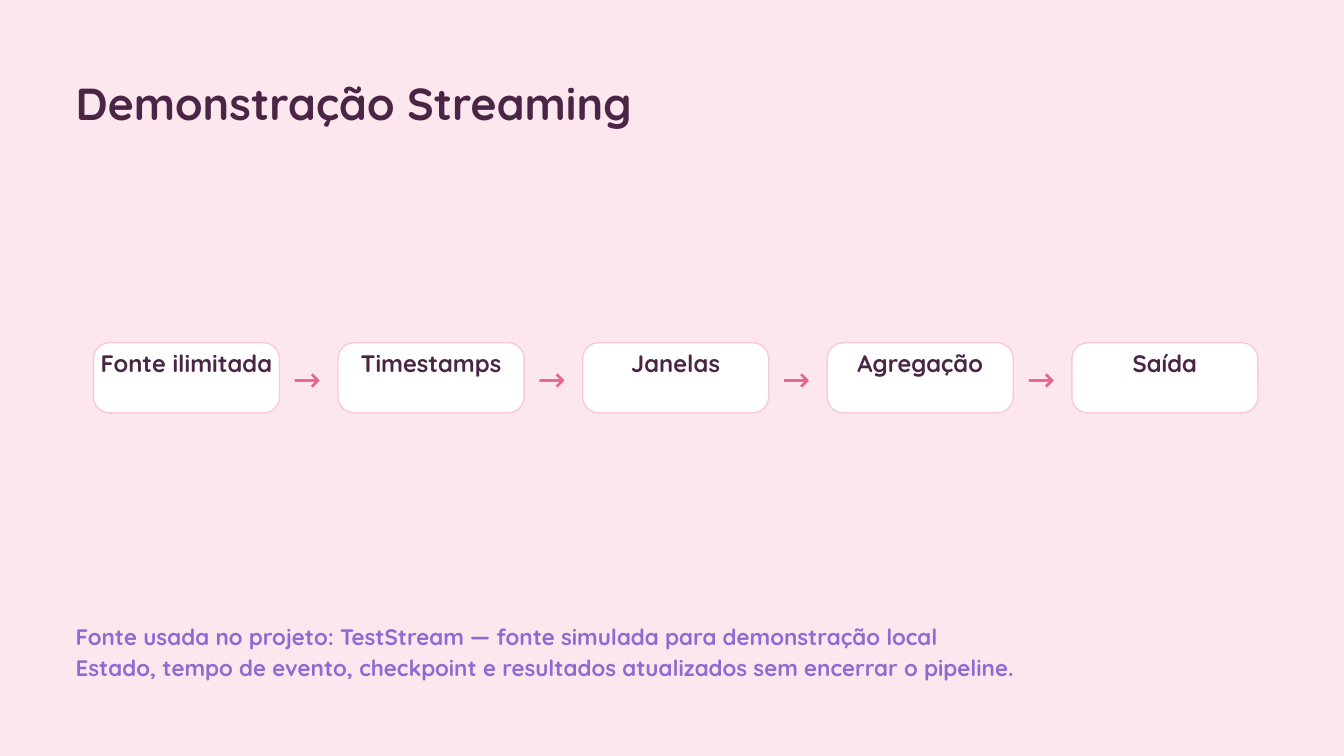
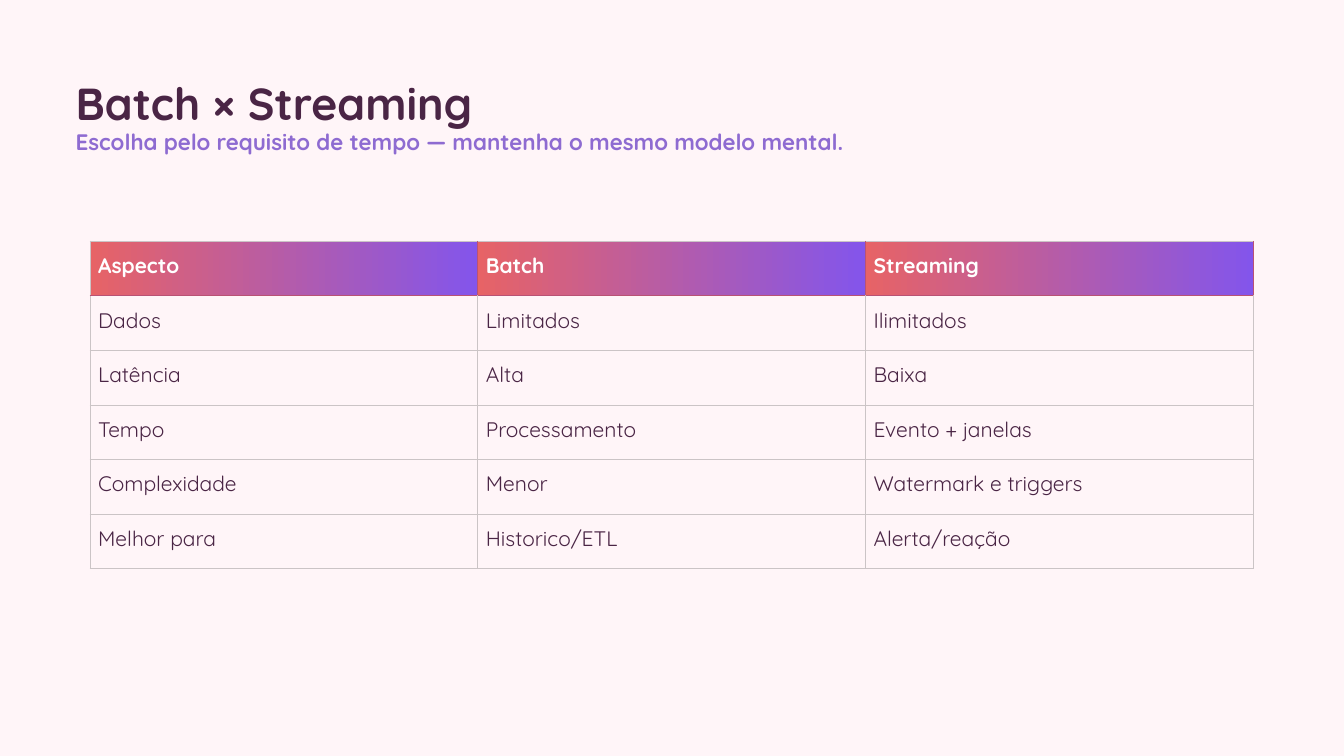
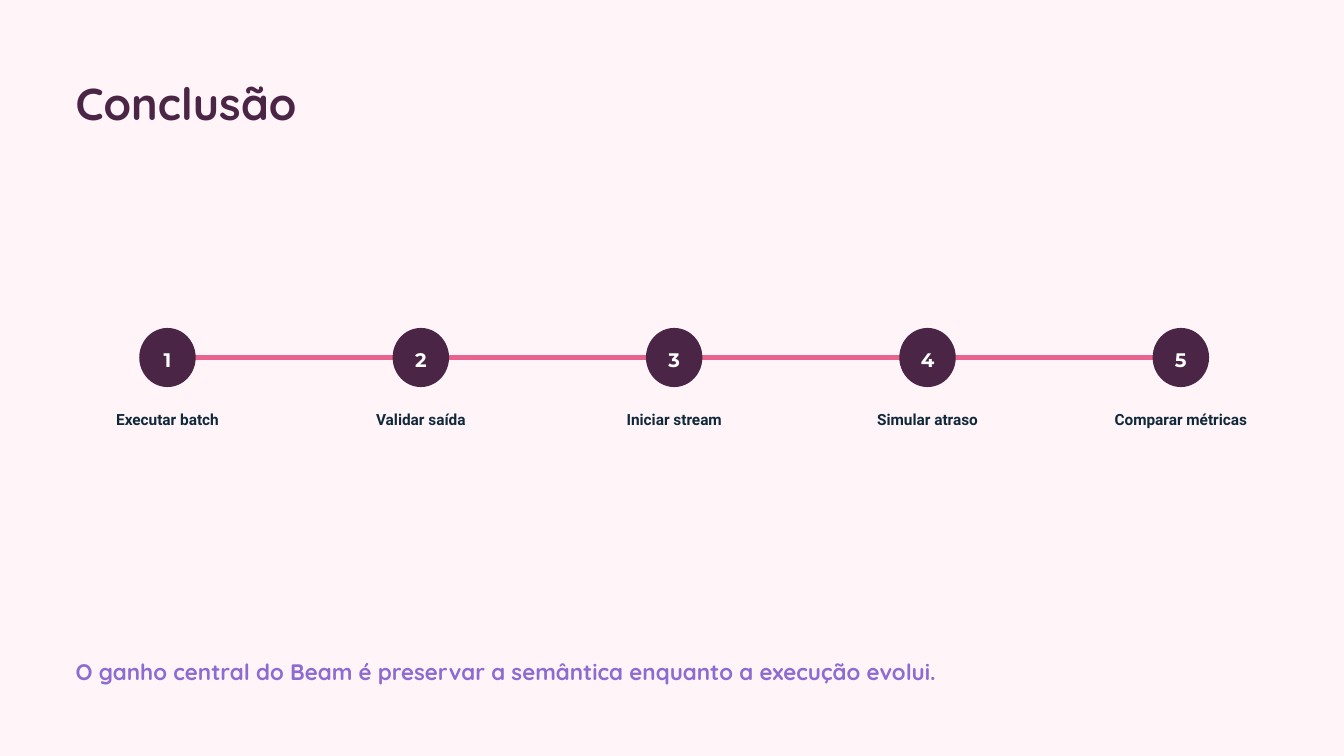
from dataclasses import dataclass

from lxml import etree
from pptx import Presentation
from pptx.dml.color import RGBColor
from pptx.enum.shapes import MSO_CONNECTOR, MSO_SHAPE
from pptx.enum.text import MSO_ANCHOR, PP_ALIGN
from pptx.oxml.ns import qn
from pptx.util import Inches, Pt

LEFT, CENTER = PP_ALIGN.LEFT, PP_ALIGN.CENTER
TOP, MIDDLE = MSO_ANCHOR.TOP, MSO_ANCHOR.MIDDLE
ROUNDED, OVAL = MSO_SHAPE.ROUNDED_RECTANGLE, MSO_SHAPE.OVAL
STRAIGHT = MSO_CONNECTOR.STRAIGHT
COLS, ROWS = 80, 45
MARGIN = 4.5


@dataclass(frozen=True)
class TextStyle:
    size: float
    color: str
    leading: float
    bold: bool = True
    font: str = "Quicksand"
    align: PP_ALIGN = LEFT


class Theme:
    blush = "FDE7EF"
    pale = "FFF5F8"
    plum = "4A2545"
    violet = "8E6BD1"
    pink = "E8638F"
    white = "FFFFFF"
    card_line = "F7C9DA"
    grid_line = "CBC4C6"
    header_line = "B95274"
    header_fill = ("E76366", "8355EB")
    title = TextStyle(48, plum, 55.2)
    note = TextStyle(24, violet, 32.4)
    card = TextStyle(25.5, plum, 32, align=CENTER)
    arrow = TextStyle(36, pink, 50.4, bold=False)
    header = TextStyle(22.5, white, 31.5)
    body = TextStyle(22.5, plum, 31.5, bold=False)
    number = TextStyle(21, white, 29.4, font="Montserrat", align=CENTER)
    label = TextStyle(16.5, "10283A", 22.3, font="Roboto", align=CENTER)


def rgb(color):
    return RGBColor.from_string(color)


class Deck:
    def __init__(self, theme):
        self.theme = theme
        self.prs = Presentation()
        self.prs.slide_width, self.prs.slide_height = Inches(20), Inches(11.25)
        self.slide = None

    def x(self, cols):
        return round(self.prs.slide_width * cols / COLS)

    def y(self, rows):
        return round(self.prs.slide_height * rows / ROWS)

    def box(self, left, top, width, height):
        return self.x(left), self.y(top), self.x(width), self.y(height)

    def new_slide(self, background, title):
        self.slide = self.prs.slides.add_slide(self.prs.slide_layouts[6])
        fill = self.slide.background.fill
        fill.solid()
        fill.fore_color.rgb = rgb(background)
        self.text([title], self.theme.title, MARGIN, 4.64, 71, 3.04)

    def add_lines(self, tf, lines, style):
        tf.word_wrap = True
        for i, line in enumerate(lines):
            p = tf.paragraphs[0] if i == 0 else tf.add_paragraph()
            p.alignment = style.align
            p.line_spacing = Pt(style.leading)
            r = p.add_run()
            r.text = line
            r.font.name = style.font
            r.font.size = Pt(style.size)
            r.font.bold = style.bold
            r.font.color.rgb = rgb(style.color)

    def frame(self, sp, lines, style, anchor=TOP):
        tf = sp.text_frame
        tf.margin_left = tf.margin_top = tf.margin_right = tf.margin_bottom = 0
        tf.vertical_anchor = anchor
        self.add_lines(tf, lines, style)

    def text(self, lines, style, *place):
        self.frame(self.slide.shapes.add_textbox(*self.box(*place)), lines, style)

    def note(self, lines, top, width):
        self.text(lines, self.theme.note, MARGIN, top, width, 1.8 * len(lines))

    def shape(self, kind, fill, line, *place):
        sp = self.slide.shapes.add_shape(kind, *self.box(*place))
        sp.shadow.inherit = False
        sp.fill.solid()
        sp.fill.fore_color.rgb = rgb(fill)
        if line:
            sp.line.color.rgb = rgb(line)
            sp.line.width = Pt(1.5)
        else:
            sp.line.fill.background()
        return sp

    def card(self, name, *place):
        sp = self.shape(ROUNDED, self.theme.white, self.theme.card_line, *place)
        sp.adjustments[0] = 0.23
        self.frame(sp, [name], self.theme.card)

    def disc(self, number, *place):
        sp = self.shape(OVAL, self.theme.plum, None, *place)
        self.frame(sp, [str(number)], self.theme.number, MIDDLE)

    def rule(self, start, end, row):
        line = self.slide.shapes.add_connector(
            STRAIGHT, self.x(start), self.y(row), self.x(end), self.y(row))
        line.line.color.rgb = rgb(self.theme.pink)
        line.line.width = Pt(4.5)
        etree.SubElement(line._element.spPr, qn("a:effectLst"))

    def borders(self, cell, **colors):
        for side, color in colors.items():
            ln = etree.SubElement(cell._tc.get_or_add_tcPr(), qn(f"a:ln{side}"), w=str(Pt(1)))
            fill = etree.SubElement(ln, qn("a:solidFill"))
            etree.SubElement(fill, qn("a:srgbClr"), val=color)

    def cell(self, cell, value, row, col):
        grid, accent = self.theme.grid_line, self.theme.header_line
        head = row == 0
        self.borders(
            cell,
            L=accent if head and col else grid,
            R=accent if head else grid,
            T=accent if row == 1 else grid,
            B=accent if head else grid)
        if head:
            cell.fill.gradient()
            cell.fill.gradient_angle = 0
            for stop, color in zip(cell.fill.gradient_stops, self.theme.header_fill):
                stop.color.rgb = rgb(color)
        else:
            cell.fill.background()
        cell.margin_left = cell.margin_right = Inches(0.12)
        cell.margin_top = cell.margin_bottom = Inches(0.12)
        self.add_lines(cell.text_frame, [value], self.theme.header if head else self.theme.body)

    def table(self, data, left, top, col_width, row_height):
        rows, cols = len(data), len(data[0])
        place = self.box(left, top, col_width * cols, row_height * rows)
        table = self.slide.shapes.add_table(rows, cols, *place).table
        table.horz_banding = False
        for column in table.columns:
            column.width = self.x(col_width)
        for i, values in enumerate(data):
            table.rows[i].height = self.y(row_height)
            for j, value in enumerate(values):
                self.cell(table.cell(i, j), value, i, j)


def streaming_demo(deck):
    deck.new_slide(Theme.blush, "Demonstração Streaming")
    stages = ["Fonte ilimitada", "Timestamps", "Janelas", "Agregação", "Saída"]
    first, pitch = 5.56, 14.56
    for i, stage in enumerate(stages):
        left = first + i * pitch
        deck.card(stage, left, 20.4, 11.08, 4.18)
        if i < len(stages) - 1:
            deck.text(["→"], Theme.arrow, left + 11.88, 20.88, 2.2, 2.72)
    deck.note([
        "Fonte usada no projeto: TestStream — fonte simulada para demonstração local",
        "Estado, tempo de evento, checkpoint e resultados atualizados sem encerrar o pipeline.",
    ], 36.92, 71.4)


def comparison(deck):
    deck.new_slide(Theme.pale, "Batch × Streaming")
    deck.table([
        ("Aspecto", "Batch", "Streaming"),
        ("Dados", "Limitados", "Ilimitados"),
        ("Latência", "Alta", "Baixa"),
        ("Tempo", "Processamento", "Evento + janelas"),
        ("Complexidade", "Menor", "Watermark e triggers"),
        ("Melhor para", "Historico/ETL", "Alerta/reação"),
    ], 5.36, 14.36, 23.08, 3.25)
    deck.note(["Escolha pelo requisito de tempo — mantenha o mesmo modelo mental."], 7.4, 56.24)


def conclusion(deck):
    deck.new_slide(Theme.pale, "Conclusão")
    steps = ["Executar batch", "Validar saída", "Iniciar stream",
             "Simular atraso", "Comparar métricas"]
    first, pitch, axis = 9.97, 15.08, 21.28
    width, height, label_width = 3.36, 3.52, 10.44
    deck.rule(first, first + pitch * (len(steps) - 1), axis)
    for i, step in enumerate(steps):
        center = first + i * pitch
        deck.disc(i + 1, center - width / 2, axis - height / 2, width, height)
        deck.text([step], Theme.label, center - label_width / 2, 24.28, label_width, 1.2)
    deck.note(["O ganho central do Beam é preservar a semântica enquanto a execução evolui."],
              38.96, 56.24)


def main():
    deck = Deck(Theme)
    streaming_demo(deck)
    comparison(deck)
    conclusion(deck)
    deck.prs.save("out.pptx")


if __name__ == "__main__":
    main()
